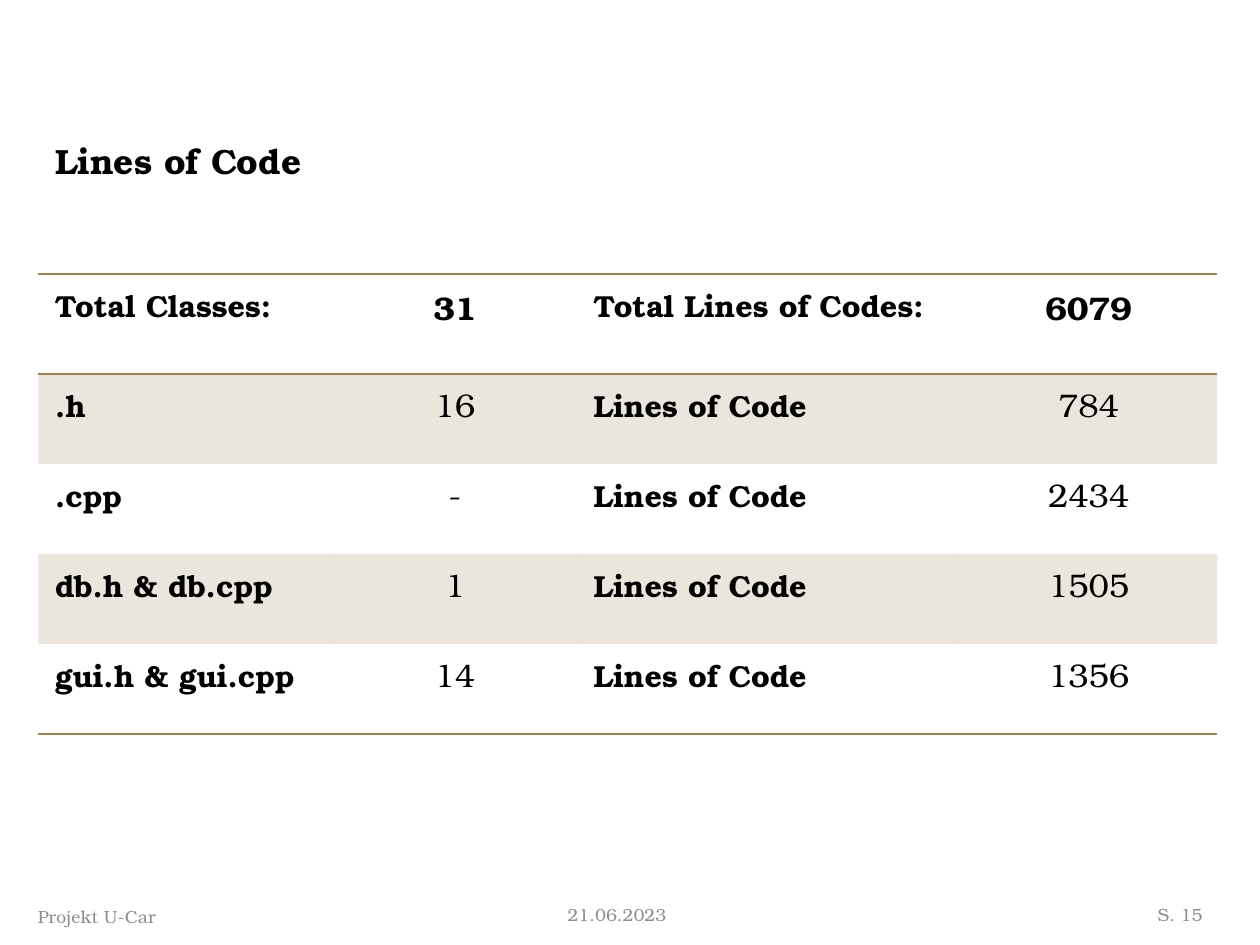
from lxml.etree import SubElement
from pptx import Presentation
from pptx.dml.color import RGBColor
from pptx.enum.text import MSO_ANCHOR, PP_ALIGN
from pptx.oxml import parse_xml
from pptx.oxml.ns import nsdecls, qn
from pptx.util import Inches, Pt

WIDTH, COLUMNS = 7.5, 750
HEIGHT, ROWS = WIDTH * 3 / 4, COLUMNS * 3 / 4
BLACK, GRAY, BRONZE = "000000", "8C8C8C", "9B8357"
NO_STYLE = "{2D5ABB26-0587-4C30-8999-92F81FD0307C}"


def colour(value):
    return RGBColor.from_string(value)


def write(frame, text, size, ink=BLACK, bold=False, align=PP_ALIGN.LEFT,
          font="TeX Gyre Bonum", line=None, before=None):
    para = frame.paragraphs[0]
    para.alignment = align
    if line:
        para.line_spacing = line
    if before:
        para.space_before = Pt(before)
    span = para.add_run()
    span.text = text
    span.font.name = font
    span.font.size = Pt(size)
    span.font.bold = bold
    span.font.color.rgb = colour(ink)


class ReportPage:
    """Places styled text and tables on a page measured in grid columns and rows."""

    def __init__(self, deck):
        self.page = deck.slides.add_slide(deck.slide_layouts[6])

    def across(self, columns):
        return Inches(WIDTH * columns / COLUMNS)

    def down(self, rows):
        return Inches(HEIGHT * rows / ROWS)

    def area(self, left, top, width, height):
        return self.across(left), self.down(top), self.across(width), self.down(height)

    def text(self, place, text, anchor=MSO_ANCHOR.TOP, **style):
        frame = self.page.shapes.add_textbox(*self.area(*place)).text_frame
        frame.word_wrap = True
        frame.vertical_anchor = anchor
        write(frame, text, **style)

    def footer(self, place, text, align=PP_ALIGN.LEFT):
        self.text(place, text, anchor=MSO_ANCHOR.MIDDLE, size=7.5, ink=GRAY, align=align)

    def shade(self, cell):
        cell.fill.solid()
        cell.fill.fore_color.rgb = colour(BRONZE)
        tint = cell._tc.tcPr.find(qn("a:solidFill"))[0]
        SubElement(tint, qn("a:alpha"), val="20000")

    def rule(self, cell, sides):
        for index, side in enumerate(sides):
            border = parse_xml(
                f'<a:ln{side} {nsdecls("a")} w="{Pt(1)}"><a:solidFill>'
                f'<a:srgbClr val="{BRONZE}"/></a:solidFill></a:ln{side}>')
            cell._tc.get_or_add_tcPr().insert(index, border)

    def table(self, left, top, widths, heights, values):
        place = self.area(left, top, sum(widths), sum(heights))
        frame = self.page.shapes.add_table(len(heights), len(widths), *place)
        table = frame.table
        table.first_row = table.horz_banding = False
        table._tbl.tblPr.find(qn("a:tableStyleId")).text = NO_STYLE
        for column, width in zip(table.columns, widths):
            column.width = self.across(width)
        for row, height in zip(table.rows, heights):
            row.height = self.down(height)
        border_sides = {0: "TB", len(heights) - 1: "B"}
        for row, record in enumerate(values):
            for column, value in enumerate(record):
                cell = table.cell(row, column)
                is_count = column % 2 == 1
                write(cell.text_frame, value, size=14 if is_count else 13,
                      bold=row == 0 or not is_count,
                      align=PP_ALIGN.CENTER if is_count else PP_ALIGN.LEFT)
                if row % 2:
                    self.shade(cell)
                else:
                    cell.fill.background()
                self.rule(cell, border_sides.get(row, ""))


def main():
    deck = Presentation()
    deck.slide_width, deck.slide_height = Inches(WIDTH), Inches(HEIGHT)
    report = ReportPage(deck)
    report.footer((328, 531.4, 225, 26), "21.06.2023")
    report.footer((1.6, 536.4, 101, 18), "Projekt U-Car", align=PP_ALIGN.RIGHT)
    report.footer((669.6, 531.4, 56, 26), "S. 15", align=PP_ALIGN.RIGHT)
    label = "Lines of Code"
    report.table(22.8, 163, [175.4, 145.2, 228, 153.2], [59.6] + [53.6] * 4, [
        ("Total Classes:", "31", "Total Lines of Codes:", "6079"),
        (".h", "16", label, "784"),
        (".cpp", "-", label, "2434"),
        ("db.h & db.cpp", "1", label, "1505"),
        ("gui.h & gui.cpp", "14", label, "1356"),
    ])
    report.text((23, 73, 703, 431), label, size=15, bold=True, line=1.2, before=5.6)
    deck.save("out.pptx")


if __name__ == "__main__":
    main()
